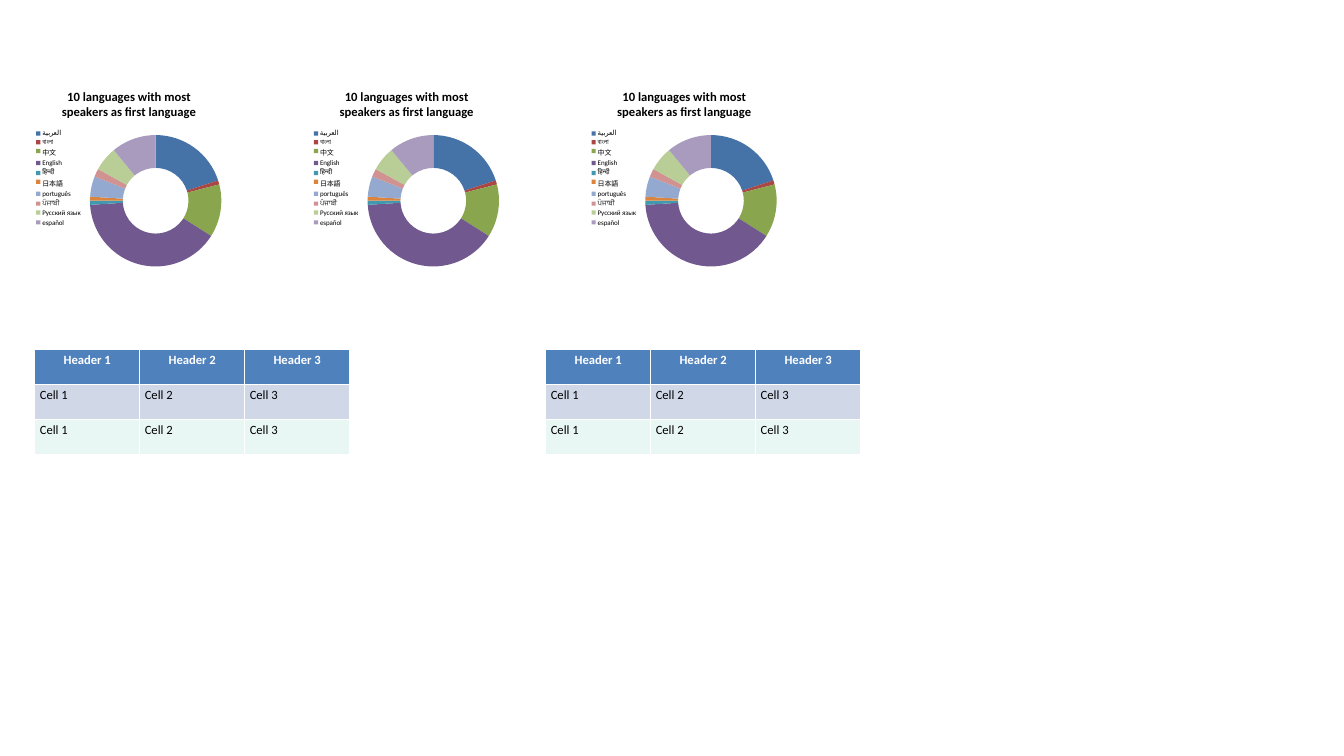
from lxml.etree import SubElement
from pptx import Presentation
from pptx.chart.data import CategoryChartData
from pptx.dml.color import RGBColor
from pptx.enum.chart import XL_CHART_TYPE, XL_LEGEND_POSITION
from pptx.enum.text import PP_ALIGN
from pptx.oxml.ns import qn
from pptx.util import Inches, Pt


def color(hex_string):
    return RGBColor.from_string(hex_string)


def style_font(font, size, hex_string, bold):
    values = {"name": "Calibri", "size": Pt(size), "bold": bold}
    for attribute, value in values.items():
        setattr(font, attribute, value)
    font.color.rgb = color(hex_string)


# Language, share of speakers, ring segment colour
LANGUAGES = [
    ("العربية", 20, "4572A7"),
    ("বাংলা", 1, "AA4643"),
    ("中文", 13, "89A54E"),
    ("English", 40, "71588F"),
    ("हिन्दी", 1, "4198AF"),
    ("日本語", 1, "DB843D"),
    ("português", 5, "93A9CF"),
    ("ਪੰਜਾਬੀ", 2, "D19392"),
    ("Русский язык", 6, "B9CD96"),
    ("español", 11, "A99BBD"),
]

# Row label, fill, text colour, bold, alignment
TABLE_ROWS = [
    ("Header", "4F81BD", "FFFFFF", True, PP_ALIGN.CENTER),
    ("Cell", "D0D8E8", "000000", False, PP_ALIGN.LEFT),
    ("Cell", "E9F7F4", "000000", False, PP_ALIGN.LEFT),
]

presentation = Presentation()
presentation.slide_width = Inches(26.67)
presentation.slide_height = Inches(15)
slide = presentation.slides.add_slide(presentation.slide_layouts[6])

# Three doughnut charts at an equal pitch
speakers = CategoryChartData()
speakers.categories = [language for language, _, _ in LANGUAGES]
speakers.add_series("Series 1", [share for _, share, _ in LANGUAGES])

for position in range(3):
    chart = slide.shapes.add_chart(
        XL_CHART_TYPE.DOUGHNUT, Inches(0.59 + 5.51 * position), Inches(1.57),
        Inches(3.94), Inches(3.94), speakers).chart
    style_font(chart.font, 10, "000000", False)

    chart.has_title = True
    heading = chart.chart_title.text_frame
    heading.text = "10 languages with most speakers as first language"
    style_font(heading.paragraphs[0].runs[0].font, 18, "000000", True)

    chart.has_legend = True
    chart.legend.position = XL_LEGEND_POSITION.LEFT
    chart.legend.include_in_layout = False
    style_font(chart.legend.font, 10, "000000", False)

    ring = chart.plots[0]
    ring.vary_by_categories = True
    for index, (_, _, segment_color) in enumerate(LANGUAGES):
        segment = ring.series[0].points[index].format.fill
        segment.solid()
        segment.fore_color.rgb = color(segment_color)

# Two tables with a white rule below the header
for left in (0.69, 10.83):
    table = slide.shapes.add_table(
        3, 3, Inches(left), Inches(6.94), Inches(6.25), Inches(2.08)).table
    for row, (label, fill, text_color, bold, alignment) in enumerate(TABLE_ROWS):
        for column in range(3):
            cell = table.cell(row, column)
            cell.text = f"{label} {column + 1}"
            paragraph = cell.text_frame.paragraphs[0]
            paragraph.alignment = alignment
            style_font(paragraph.runs[0].font, 18, text_color, bold)
            if row == 0:
                rule = SubElement(cell._tc.get_or_add_tcPr(), qn("a:lnB"), w=str(Pt(2)))
                rule_fill = SubElement(rule, qn("a:solidFill"))
                SubElement(rule_fill, qn("a:srgbClr"), val="FFFFFF")
            cell.fill.solid()
            cell.fill.fore_color.rgb = color(fill)

presentation.save("out.pptx")
